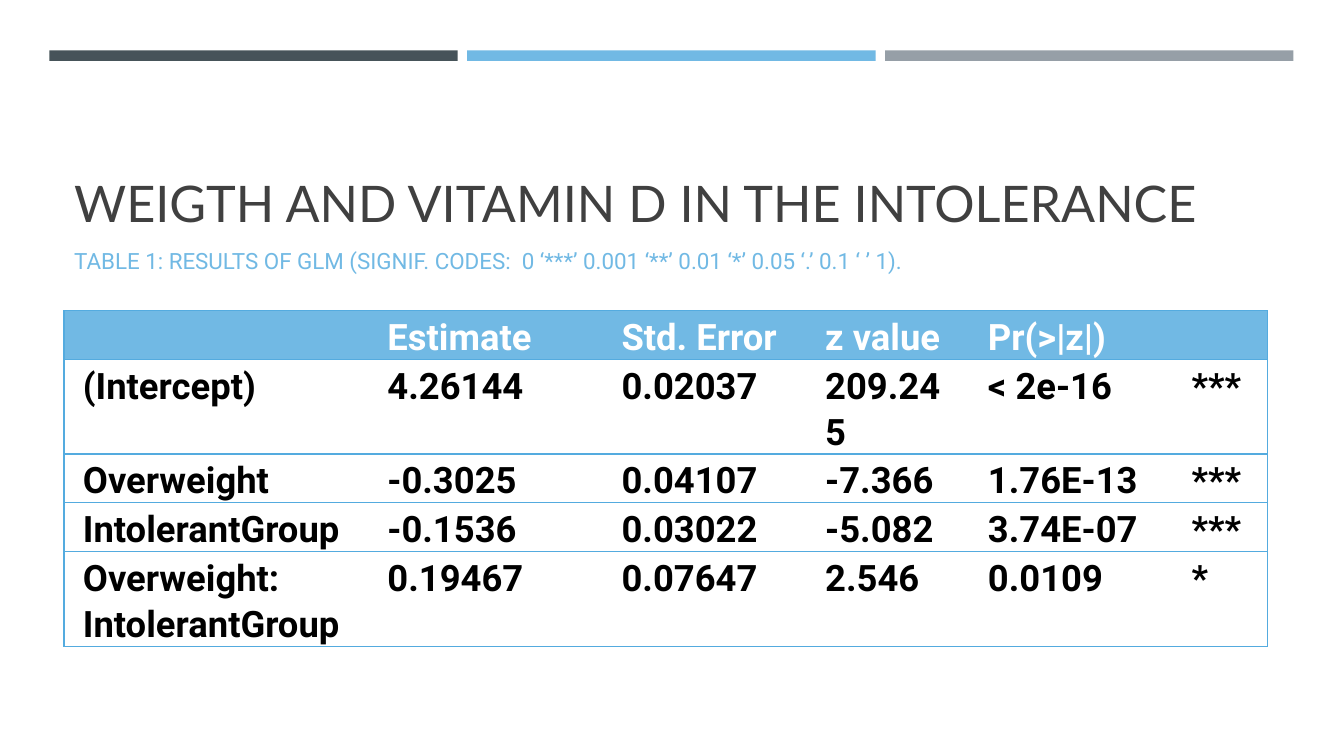
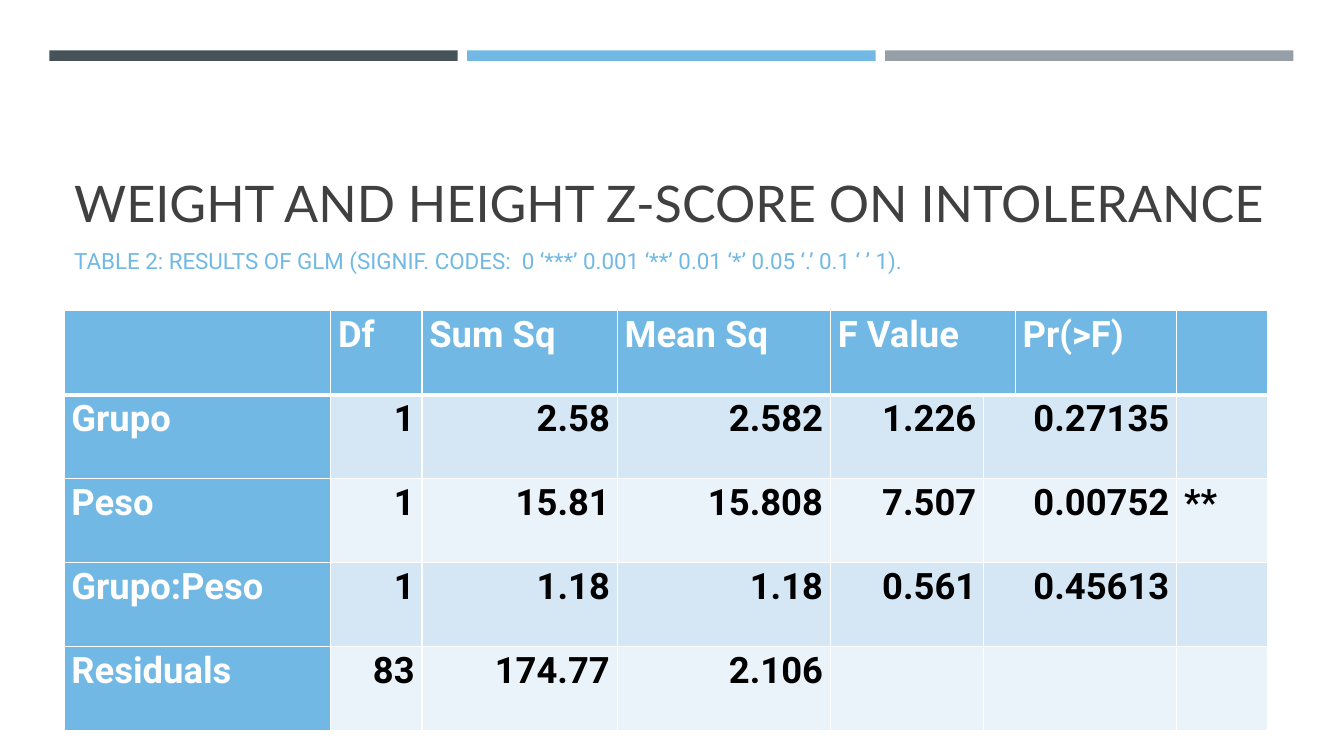
from lxml.etree import SubElement
from pptx import Presentation
from pptx.dml.color import RGBColor
from pptx.enum.shapes import MSO_SHAPE
from pptx.enum.text import MSO_ANCHOR, MSO_AUTO_SIZE, PP_ALIGN
from pptx.oxml.ns import qn
from pptx.util import Emu, Pt

PX = 9525  # EMU per px, 1280 x 720 slide
C = {"dark": "465359", "blue": "71B9E4", "grey": "969FA7", "title": "404040",
     "line": "54ABDF", "white": "FFFFFF", "black": "000000",
     "band1": "D5E6F5", "band2": "EBF3FA"}
HEAD_FONT, BODY_FONT = "Lato", "Roboto"
CODES = "RESULTS OF GLM (SIGNIF. CODES:  0 ‘***’ 0.001 ‘**’ 0.01 ‘*’ 0.05 ‘.’ 0.1 ‘ ’ 1)."

# Content: None in a row continues the cell to its left
SLIDES = [
    {"title": "WEIGTH AND VITAMIN D IN THE INTOLERANCE",
     "caption": "TABLE 1: " + CODES,
     "style": "lined",
     "cols": [290, 223, 194, 155, 194, 90],
     "heights": [46, 46, 46, 46, 90],
     "rows": [
         ["", "Estimate", "Std. Error", "z value", "Pr(>|z|)", ""],
         ["(Intercept)", "4.26144", "0.02037", "209.245", "< 2e-16", "***"],
         ["Overweight", "-0.3025", "0.04107", "-7.366", "1.76E-13", "***"],
         ["IntolerantGroup", "-0.1536", "0.03022", "-5.082", "3.74E-07", "***"],
         ["Overweight: IntolerantGroup", "0.19467", "0.07647", "2.546", "0.0109", "*"]]},
    {"title": "WEIGHT AND HEIGHT Z-SCORE ON INTOLERANCE",
     "caption": "TABLE 2: " + CODES,
     "style": "banded",
     "cols": [254, 87, 186, 203, 146, 30, 154, 86],
     "heights": [80] * 5,
     "rows": [
         ["", "Df", "Sum Sq", "Mean Sq", "F Value", None, "Pr(>F)", ""],
         ["Grupo", "1", "2.58", "2.582", "1.226", "0.27135", None, ""],
         ["Peso", "1", "15.81", "15.808", "7.507", "0.00752", None, "**"],
         ["Grupo:Peso", "1", "1.18", "1.18", "0.561", "0.45613", None, ""],
         ["Residuals", "83", "174.77", "2.106", "", "", None, ""]]},
]
MARGINS = {"lined": (18, 3), "banded": (7, 0)}  # side, top


def px(n):
    return Emu(n * PX)


def rgb(name):
    return RGBColor.from_string(C[name])


def set_font(p, name, size, color, bold=False):
    p.font.name, p.font.size, p.font.bold = name, Pt(size), bold
    p.font.color.rgb = rgb(color)


def fill_placeholder(sp, box, text, font, size, color, anchor):
    sp.left, sp.top, sp.width, sp.height = map(px, box)
    tf = sp.text_frame
    tf.word_wrap, tf.auto_size, tf.vertical_anchor = True, MSO_AUTO_SIZE.NONE, anchor
    p = tf.paragraphs[0]
    p.text, p.alignment = text, PP_ALIGN.LEFT
    set_font(p, font, size, color)
    return p


def add_frame(s, title, caption):
    """Title, caption and the three bars shared by all slides."""
    fill_placeholder(s.shapes.title, (61, 76, 1154, 150), title,
                     HEAD_FONT, 36, "title", MSO_ANCHOR.BOTTOM)
    p = fill_placeholder(s.placeholders[1], (61, 228, 1154, 36), caption,
                         BODY_FONT, 16, "blue", MSO_ANCHOR.TOP)
    p.line_spacing, p.space_before, p.space_after = 1.1, Pt(3), Pt(6)
    for i, color in enumerate(("dark", "blue", "grey")):
        bar = s.shapes.add_shape(MSO_SHAPE.RECTANGLE, px(47 + i * 398), px(48), px(389), px(10))
        bar.shadow.inherit = False
        bar.fill.solid()
        bar.fill.fore_color.rgb = rgb(color)
        bar.line.fill.background()


def set_borders(cell, borders):
    """borders: (colour, points) or None for left, right, top, bottom."""
    tcPr = cell._tc.get_or_add_tcPr()
    for i, (side, border) in enumerate(zip("LRTB", borders)):
        ln = SubElement(tcPr, qn("a:ln" + side))
        if border:
            color, points = border
            ln.set("w", str(Pt(points)))
            SubElement(SubElement(ln, qn("a:solidFill")), qn("a:srgbClr")).set("val", C[color])
        else:
            SubElement(ln, qn("a:noFill"))
        tcPr.insert(i, ln)  # lines come before the fill


def cell_look(style, r, c, last):
    """Fill, text colour, alignment and borders of one cell."""
    if style == "lined":
        line = ("line", 1)
        borders = (line if c == 0 else None, line if c == last else None, line, line)
        fill, color = ("white", "black") if r else ("blue", "white")
        return fill, color, PP_ALIGN.LEFT, borders
    thin, thick = ("white", 1), ("white", 3)
    borders = (thin, thin, thick if r == 1 else thin, thick if r == 0 else thin)
    if r == 0 or c == 0:
        return "blue", "white", PP_ALIGN.LEFT, borders
    align = PP_ALIGN.LEFT if c == last else PP_ALIGN.RIGHT
    return "band1" if r % 2 else "band2", "black", align, borders


def add_results(s, style, cols, heights, rows):
    tbl = s.shapes.add_table(len(rows), len(cols), px(61), px(296),
                             px(sum(cols)), px(sum(heights))).table
    tbl.first_row = tbl.horz_banding = False
    for col, w in zip(tbl.columns, cols):
        col.width = px(w)
    for row, h in zip(tbl.rows, heights):
        row.height = px(h)
    side, top = MARGINS[style]
    for r, row in enumerate(rows):
        for c, text in enumerate(row):
            cell = tbl.cell(r, c)
            fill, color, align, borders = cell_look(style, r, c, len(cols) - 1)
            cell.fill.solid()
            cell.fill.fore_color.rgb = rgb(fill)
            set_borders(cell, borders)
            if text is None:
                tbl.cell(r, c - 1).merge(cell)
                continue
            cell.margin_left = cell.margin_right = px(side)
            cell.margin_top, cell.margin_bottom = px(top), 0
            p = cell.text_frame.paragraphs[0]
            p.text, p.alignment, p.line_spacing = text, align, 1.07
            set_font(p, BODY_FONT, 26, color, bold=True)


def main():
    prs = Presentation()
    prs.slide_width, prs.slide_height = px(1280), px(720)
    for d in SLIDES:
        s = prs.slides.add_slide(prs.slide_layouts[0])
        add_frame(s, d["title"], d["caption"])
        add_results(s, d["style"], d["cols"], d["heights"], d["rows"])
    prs.save("out.pptx")


if __name__ == "__main__":
    main()
